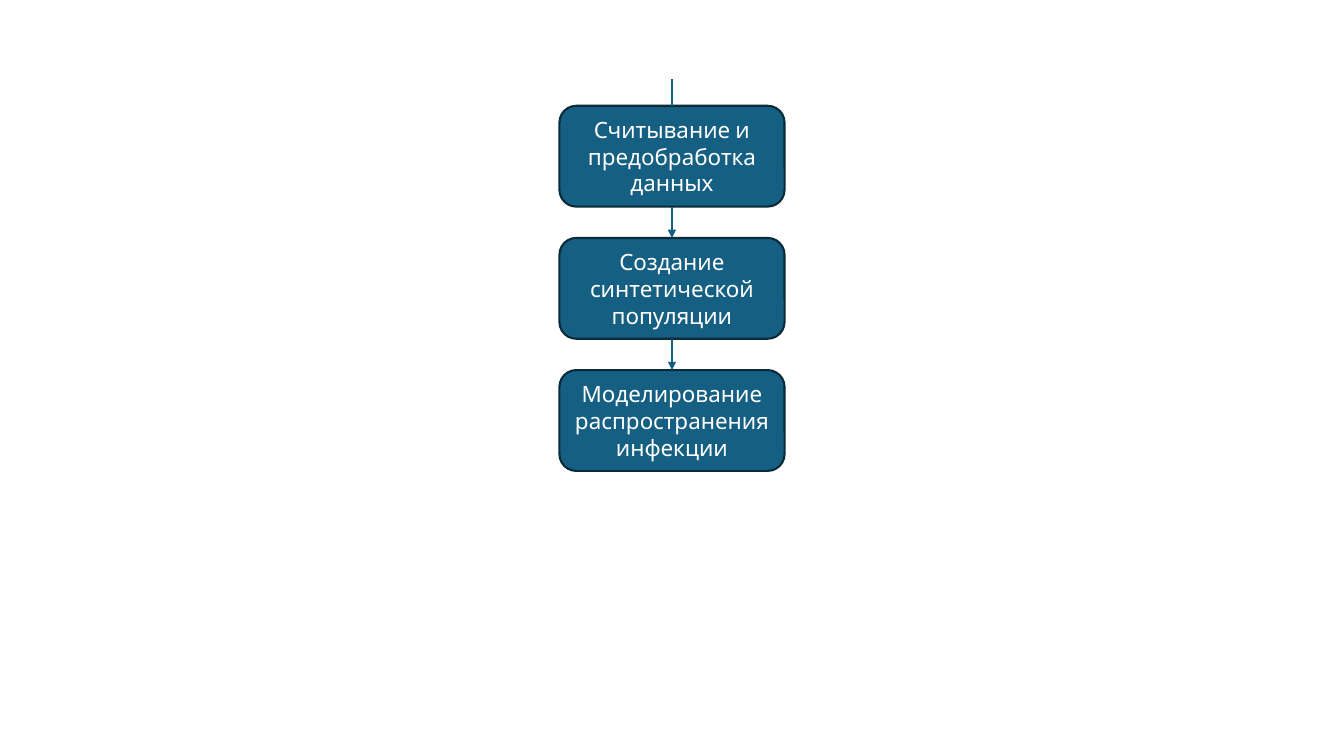
from lxml import etree
from pptx import Presentation
from pptx.dml.color import RGBColor
from pptx.enum.shapes import MSO_CONNECTOR, MSO_SHAPE
from pptx.enum.text import MSO_ANCHOR, PP_ALIGN
from pptx.oxml.ns import qn
from pptx.util import Pt

ROUNDED = MSO_SHAPE.ROUNDED_RECTANGLE
STRAIGHT = MSO_CONNECTOR.STRAIGHT
MIDDLE = MSO_ANCHOR.MIDDLE
CENTER = PP_ALIGN.CENTER

BLUE = RGBColor(0x15, 0x60, 0x82)
DARK = RGBColor(0x09, 0x2A, 0x39)
WHITE = RGBColor(0xFF, 0xFF, 0xFF)

SLIDE_WIDTH, SLIDE_HEIGHT = 960, 540
BOX_WIDTH, BOX_HEIGHT = 160.8, 72
FIRST_TOP, STEP = 75.6, 94.4
ENTRY_TOP = 56.8
CENTER_X = SLIDE_WIDTH / 2
TOP_SITE, BOTTOM_SITE = 0, 2

STAGES = [
    "Считывание и предобработка данных",
    "Создание синтетической популяции",
    "Моделирование распространения инфекции",
]


def add_line(start_y, end_y, arrow):
    line = page.shapes.add_connector(
        STRAIGHT, Pt(CENTER_X), Pt(start_y), Pt(CENTER_X), Pt(end_y))
    line.line.color.rgb = BLUE
    line.line.width = Pt(1.5)
    if arrow:
        etree.SubElement(line.line._get_or_add_ln(), qn("a:tailEnd"), type="triangle")
    etree.SubElement(line._element.spPr, qn("a:effectLst"))
    return line


deck = Presentation()
deck.slide_width = Pt(SLIDE_WIDTH)
deck.slide_height = Pt(SLIDE_HEIGHT)
page = deck.slides.add_slide(deck.slide_layouts[6])

# Stage boxes
boxes = []
for index, stage in enumerate(STAGES):
    box = page.shapes.add_shape(
        ROUNDED, Pt(CENTER_X - BOX_WIDTH / 2), Pt(FIRST_TOP + index * STEP),
        Pt(BOX_WIDTH), Pt(BOX_HEIGHT))
    box.shadow.inherit = False
    box.fill.solid()
    box.fill.fore_color.rgb = BLUE
    box.line.color.rgb = DARK
    box.line.width = Pt(1.5)
    frame = box.text_frame
    frame.word_wrap = True
    frame.vertical_anchor = MIDDLE
    frame.text = stage
    para = frame.paragraphs[0]
    para.alignment = CENTER
    font = para.runs[0].font
    font.name = "Cabin"
    font.size = Pt(16)
    font.color.rgb = WHITE
    boxes.append(box)

# Arrows between neighbouring stages
for index, (upper, lower) in enumerate(zip(boxes, boxes[1:])):
    top = FIRST_TOP + index * STEP
    arrow = add_line(top + BOX_HEIGHT, top + STEP, True)
    arrow.begin_connect(upper, BOTTOM_SITE)
    arrow.end_connect(lower, TOP_SITE)

# Entry line above the first stage
entry = add_line(FIRST_TOP, ENTRY_TOP, False)
entry.begin_connect(boxes[0], TOP_SITE)

deck.save("out.pptx")
